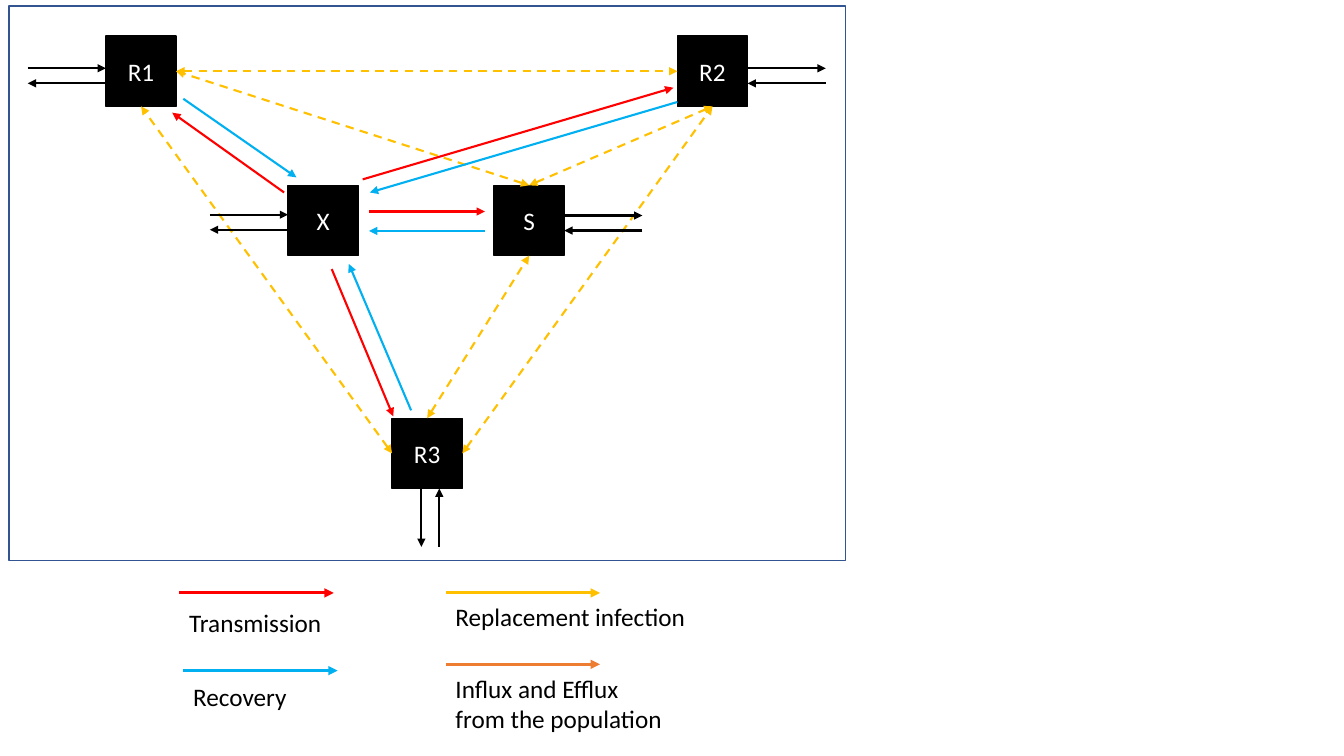
from typing import NamedTuple

from lxml.etree import SubElement
from pptx import Presentation
from pptx.dml.color import RGBColor
from pptx.enum.dml import MSO_LINE
from pptx.enum.shapes import MSO_CONNECTOR, MSO_SHAPE
from pptx.enum.text import MSO_ANCHOR, PP_ALIGN
from pptx.oxml.ns import qn
from pptx.util import Cm, Pt

WHITE = RGBColor(0xFF, 0xFF, 0xFF)
BLACK = RGBColor(0x00, 0x00, 0x00)
NAVY = RGBColor(0x32, 0x54, 0x91)
RED = RGBColor(0xFF, 0x00, 0x00)
BLUE = RGBColor(0x00, 0xB0, 0xF0)
GOLD = RGBColor(0xFF, 0xC0, 0x00)
ORANGE = RGBColor(0xED, 0x7D, 0x31)

TOP, LEFT, BOTTOM, RIGHT = range(4)  # connection sites of a rectangle
NODE_SIDE = 1.77
NODES = {"X": (7.03, 4.52), "S": (12.22, 4.52), "R1": (2.44, 0.76),
         "R3": (9.65, 10.39), "R2": (16.84, 0.76)}
REPLACEMENTS = [
    ("R1", RIGHT, "R2", LEFT), ("R3", RIGHT, "R2", BOTTOM),
    ("R3", LEFT, "R1", BOTTOM), ("R3", TOP, "S", BOTTOM),
    ("S", TOP, "R2", BOTTOM), ("S", TOP, "R1", RIGHT),
]
TRANSMISSIONS = [
    ((6.93, 4.70), (4.11, 2.69)), ((8.13, 6.63), (9.68, 10.34)),
    ((8.91, 4.37), (16.74, 2.06)), ((9.07, 5.18), (11.99, 5.18)),
]
RECOVERIES = [
    ((4.39, 2.34), (7.24, 4.32)), ((10.13, 10.19), (8.56, 6.50)),
    ((16.84, 2.42), (9.09, 4.70)), ((11.99, 5.67), (9.07, 5.67)),
]
SIDE_FLOWS = [("R1", LEFT, 0.81), ("R2", RIGHT, 0.81),
              ("S", RIGHT, 0.76), ("X", LEFT, 0.74)]
SIDE_FLOW_LENGTH, SIDE_FLOW_GAP = 1.97, 0.38
DOWN_FLOW_LENGTH, DOWN_FLOW_GAP = 1.47, 0.45
LEGEND_ARROW = 3.89
LEGEND = [  # text, colour, left, top, text drop, width, height, wrap
    ("Transmission", RED, 0, 0, 0.23, 3.86, 1.02, False),
    ("Recovery", BLUE, 0.1, 1.96, 0.15, 2.9, 1.02, False),
    ("Replacement infection", GOLD, 6.71, 0, 0.1, 6.38, 1.02, False),
    ("Influx and Efflux from the population", ORANGE,
     6.71, 1.8, 0.1, 5.94, 1.8, True),
]


class Box(NamedTuple):
    """A region of the page in centimetres."""
    left: float
    top: float
    width: float
    height: float

    def at(self, x, y):
        """Turn a point of this region into page lengths."""
        return Cm(self.left + x), Cm(self.top + y)


def write_text(shape, text, colour=BLACK, align=PP_ALIGN.LEFT,
               anchor=MSO_ANCHOR.TOP, wrap=True):
    """Fill a shape with one formatted paragraph."""
    frame = shape.text_frame
    frame.word_wrap = wrap
    frame.vertical_anchor = anchor
    para = frame.paragraphs[0]
    para.alignment = align
    span = para.add_run()
    span.text = text
    span.font.name = "Calibri"
    span.font.size = Pt(18)
    span.font.color.rgb = colour


def add_rectangle(page, corner, width, height, fill, line):
    """Add a flat rectangle with a thin outline."""
    shape = page.shapes.add_shape(MSO_SHAPE.RECTANGLE, *corner,
                                  Cm(width), Cm(height))
    shape.shadow.inherit = False
    shape.fill.solid()
    shape.fill.fore_color.rgb = fill
    shape.line.color.rgb = line
    shape.line.width = Pt(1)
    return shape


def add_arrow(page, start, end, colour, weight=1.5, both_ways=False):
    """Add a straight arrow; a two-way arrow is dashed."""
    arrow = page.shapes.add_connector(MSO_CONNECTOR.STRAIGHT, *start, *end)
    arrow.line.color.rgb = colour
    arrow.line.width = Pt(weight)
    if both_ways:
        arrow.line.dash_style = MSO_LINE.DASH
    outline = arrow.line._get_or_add_ln()
    for tag in ("a:headEnd", "a:tailEnd") if both_ways else ("a:tailEnd",):
        SubElement(outline, qn(tag), type="triangle")
    SubElement(arrow._element.spPr, qn("a:effectLst"))
    return arrow


def add_flows(page, box):
    """Draw the influx and efflux pairs at the outer nodes."""
    for name, side, drop in SIDE_FLOWS:
        left, top = NODES[name]
        start = left - SIDE_FLOW_LENGTH if side == LEFT else left + NODE_SIDE
        end = start + SIDE_FLOW_LENGTH
        upper, lower = top + drop, top + drop + SIDE_FLOW_GAP
        add_arrow(page, box.at(start, upper), box.at(end, upper), BLACK)
        add_arrow(page, box.at(end, lower), box.at(start, lower), BLACK)
    left, top = NODES["R3"]
    efflux, start = left + 0.74, top + NODE_SIDE
    influx, end = efflux + DOWN_FLOW_GAP, start + DOWN_FLOW_LENGTH
    add_arrow(page, box.at(efflux, start), box.at(efflux, end), BLACK)
    add_arrow(page, box.at(influx, end), box.at(influx, start), BLACK)


def add_network(page, box):
    """Draw the framed network of nodes and arrows."""
    add_rectangle(page, box.at(0, 0), box.width, box.height, WHITE, NAVY)
    nodes = {}
    for name, corner in NODES.items():
        nodes[name] = add_rectangle(page, box.at(*corner), NODE_SIDE,
                                    NODE_SIDE, BLACK, BLACK)
        write_text(nodes[name], name, colour=WHITE, align=PP_ALIGN.CENTER,
                   anchor=MSO_ANCHOR.MIDDLE)
    for first, first_site, second, second_site in REPLACEMENTS:
        link = add_arrow(page, box.at(0, 0), box.at(0, 0), GOLD,
                         both_ways=True)
        link.begin_connect(nodes[first], first_site)
        link.end_connect(nodes[second], second_site)
    add_flows(page, box)
    for colour, routes in ((RED, TRANSMISSIONS), (BLUE, RECOVERIES)):
        for start, end in routes:
            add_arrow(page, box.at(*start), box.at(*end), colour)


def add_legend(page, box):
    """Draw the key: an arrow over each label."""
    for text, colour, left, top, drop, width, height, wrap in LEGEND:
        add_arrow(page, box.at(left, top), box.at(left + LEGEND_ARROW, top),
                  colour, weight=2.25)
        label = page.shapes.add_textbox(*box.at(left, top + drop),
                                        Cm(width), Cm(height))
        write_text(label, text, wrap=wrap)


def build_deck():
    """Build the one-page deck."""
    deck = Presentation()
    deck.slide_width, deck.slide_height = Cm(33.87), Cm(19.05)
    page = deck.slides.add_slide(deck.slide_layouts[6])
    add_network(page, Box(0.23, 0.15, 21.08, 13.97))
    add_legend(page, Box(4.52, 14.94, 13.1, 3.7))
    return deck


build_deck().save("out.pptx")
